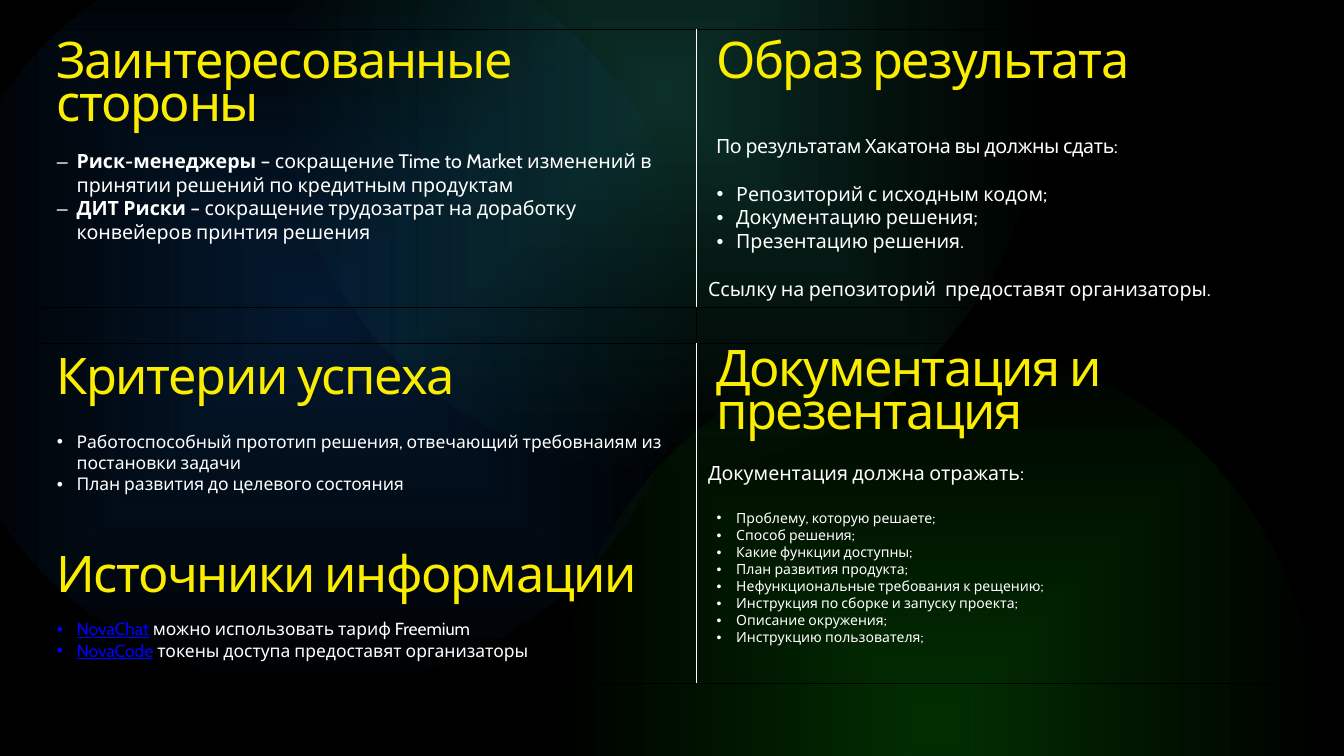
from itertools import product

from lxml.etree import SubElement
from pptx import Presentation
from pptx.dml.color import RGBColor as RGB
from pptx.enum.shapes import MSO_SHAPE as SHAPE
from pptx.oxml.ns import qn
from pptx.util import Inches, Pt

WIDTH, HEIGHT = 26.67, 15
FONT = "Cabin"
C = {"black": "000000", "white": "FFFFFF", "yellow": "FAED00", "link": "0000FF",
     "green": "08BC08", "teal": "31C2A7", "mint": "209F6D", "blue": "1164C0"}
COLS, ROWS = (13.09, 12.14), (5.51, 0.72, 6.74)
PAD, HEAD_INDENT, LIST_INDENT, HANGING, NOTE_INDENT = 0.06, 0.33, 0.73, -0.39, 0.17


def write(tf, *runs, indent=HEAD_INDENT, bullet=None, size=28, color="white",
          spacing=0, line=None, before=0):
    """Add a paragraph; a run is plain text or a (text, format) pair."""
    p = tf.paragraphs[0] if not tf.text else tf.add_paragraph()
    p.space_before = Pt(before)
    if line:
        p.line_spacing = line
    pPr = p._p.get_or_add_pPr()
    pPr.set("marL", str(Inches(indent)))
    pPr.set("indent", str(Inches(HANGING if bullet else 0)))
    if bullet:
        SubElement(pPr, qn("a:buFont"), typeface="Arial")
        SubElement(pPr, qn("a:buChar"), char=bullet)
    else:
        SubElement(pPr, qn("a:buNone"))
    for run in runs:
        text, fmt = (run, {}) if isinstance(run, str) else run
        r = p.add_run()
        r.text = text
        r.font.name, r.font.size = FONT, Pt(size)
        r.font.bold = fmt.get("bold", False)
        r.font.underline = fmt.get("underline", False)
        r.font.color.rgb = RGB.from_string(C[fmt.get("color", color)])
        r._r.get_or_add_rPr().set("spc", str(int(spacing * 100)))


def heading(tf, text, line=0.7, before=0):
    """Add a large yellow heading."""
    write(tf, text, size=72, color="yellow", spacing=-2, line=line, before=before)


def bullets(tf, items, size=28, char="•", before=0):
    """Add a bulleted list; each item is a tuple of runs."""
    for i, runs in enumerate(items):
        write(tf, *runs, indent=LIST_INDENT, bullet=char, size=size,
              before=0 if i else before)


def glow(s, left, top, start, end, first=0):
    """Add a large ellipse that fades out to transparent."""
    sp = s.shapes.add_shape(SHAPE.OVAL, Inches(left), Inches(top), Inches(15), Inches(15))
    sp.shadow.inherit = False
    sp.line.fill.background()
    sp.fill.gradient()
    spPr = sp._element.spPr
    spPr.find(qn("a:xfrm")).set("flipH", "1")
    grad = spPr.find(qn("a:gradFill"))
    for child in list(grad):
        grad.remove(child)
    stops = SubElement(grad, qn("a:gsLst"))
    for pos, color, alpha in ((first, start, 25), (100, end, 0)):
        gs = SubElement(stops, qn("a:gs"), pos=str(pos * 1000))
        clr = SubElement(gs, qn("a:srgbClr"), val=C[color])
        SubElement(clr, qn("a:alpha"), val=str(alpha * 1000))
    shade = SubElement(grad, qn("a:path"), path="shape")
    SubElement(shade, qn("a:fillToRect"), l="0", t="0", r="0", b="0")


def format_cell(cell, white_side):
    """Clear a cell's fill and draw its borders, one of them white."""
    cell.margin_left = cell.margin_right = cell.margin_bottom = Inches(PAD)
    cell.text_frame.word_wrap = True
    tcPr = cell._tc.get_or_add_tcPr()
    for side in "LRTB":
        ln = SubElement(tcPr, qn("a:ln" + side), w=str(Pt(1)))
        fill = SubElement(ln, qn("a:solidFill"))
        SubElement(fill, qn("a:srgbClr"), val=C["white" if side == white_side else "black"])
    cell.fill.background()


def add_grid(s):
    """Add the table with a white divider beside its text rows."""
    table = s.shapes.add_table(len(ROWS), len(COLS), Inches(0.73), Inches(0.58),
                               Inches(sum(COLS)), Inches(sum(ROWS))).table
    table.first_row = table.horz_banding = False
    for col, width in zip(table.columns, COLS):
        col.width = Inches(width)
    for row, height in zip(table.rows, ROWS):
        row.height = Inches(height)
    for r, c in product(range(len(ROWS)), range(len(COLS))):
        format_cell(table.cell(r, c), None if r == 1 else "RL"[c])
    return table


def text_of(cell, top=0):
    """Return a cell's text frame, with extra points above the text."""
    cell.margin_top = Inches(PAD) + Pt(top)
    return cell.text_frame


def stakeholders(tf):
    """Fill the stakeholders section."""
    heading(tf, "Заинтересованные стороны")
    bullets(tf, [
        (("Риск-менеджеры", {"bold": True}),
         " – сокращение Time to Market изменений в принятии решений по кредитным продуктам"),
        (("ДИТ Риски", {"bold": True}),
         " – сокращение трудозатрат на доработку конвейеров принтия решения"),
    ], char="–", before=28)


def outcome(tf):
    """Fill the expected result section."""
    heading(tf, "Образ результата")
    write(tf, "По результатам Хакатона вы должны сдать:", spacing=-0.5, before=68)
    bullets(tf, [("Репозиторий с исходным кодом;",), ("Документацию решения;",),
                 ("Презентацию решения.",)], before=34)
    write(tf, "Ссылку на репозиторий  предоставят организаторы.",
          indent=NOTE_INDENT, before=34)


def criteria_and_sources(tf):
    """Fill the success criteria and information sources sections."""
    heading(tf, "Критерии успеха", line=1)
    bullets(tf, [
        ("Работоспособный прототип решения, отвечающий требовнаиям из постановки задачи",),
        ("План развития до целевого состояния",),
    ], size=25, before=34)
    heading(tf, "Источники информации", before=91)
    link = {"color": "link", "underline": True}
    bullets(tf, [(("NovaChat", link), " можно использовать тариф Freemium"),
                 (("NovaCode", link), " токены доступа предоставят организаторы")],
            size=25, before=25)


def documentation(tf):
    """Fill the documentation and presentation section."""
    heading(tf, "Документация и презентация")
    write(tf, "Документация должна отражать:", indent=NOTE_INDENT, before=34)
    topics = ("Проблему, которую решаете;", "Способ решения;", "Какие функции доступны;",
              "План развития продукта;", "Нефункциональные требования к рещению;",
              "Инструкция по сборке и запуску проекта;", "Описание окружения;",
              "Инструкцию пользователя;")
    bullets(tf, [(topic,) for topic in topics], size=20, before=34)


def main():
    """Build the slide and save it."""
    prs = Presentation()
    prs.slide_width, prs.slide_height = Inches(WIDTH), Inches(HEIGHT)
    s = prs.slides.add_slide(prs.slide_layouts[6])
    s.background.fill.solid()
    s.background.fill.fore_color.rgb = RGB.from_string(C["black"])
    glow(s, 11.1, 6.84, "green", "green")
    glow(s, 5.65, -5.69, "teal", "mint")
    glow(s, -1.25, -1.36, "blue", "blue", first=1)
    table = add_grid(s)
    stakeholders(text_of(table.cell(0, 0), top=17))
    outcome(text_of(table.cell(0, 1), top=17))
    criteria_and_sources(text_of(table.cell(2, 0)))
    documentation(text_of(table.cell(2, 1), top=9))
    prs.save("out.pptx")


if __name__ == "__main__":
    main()
